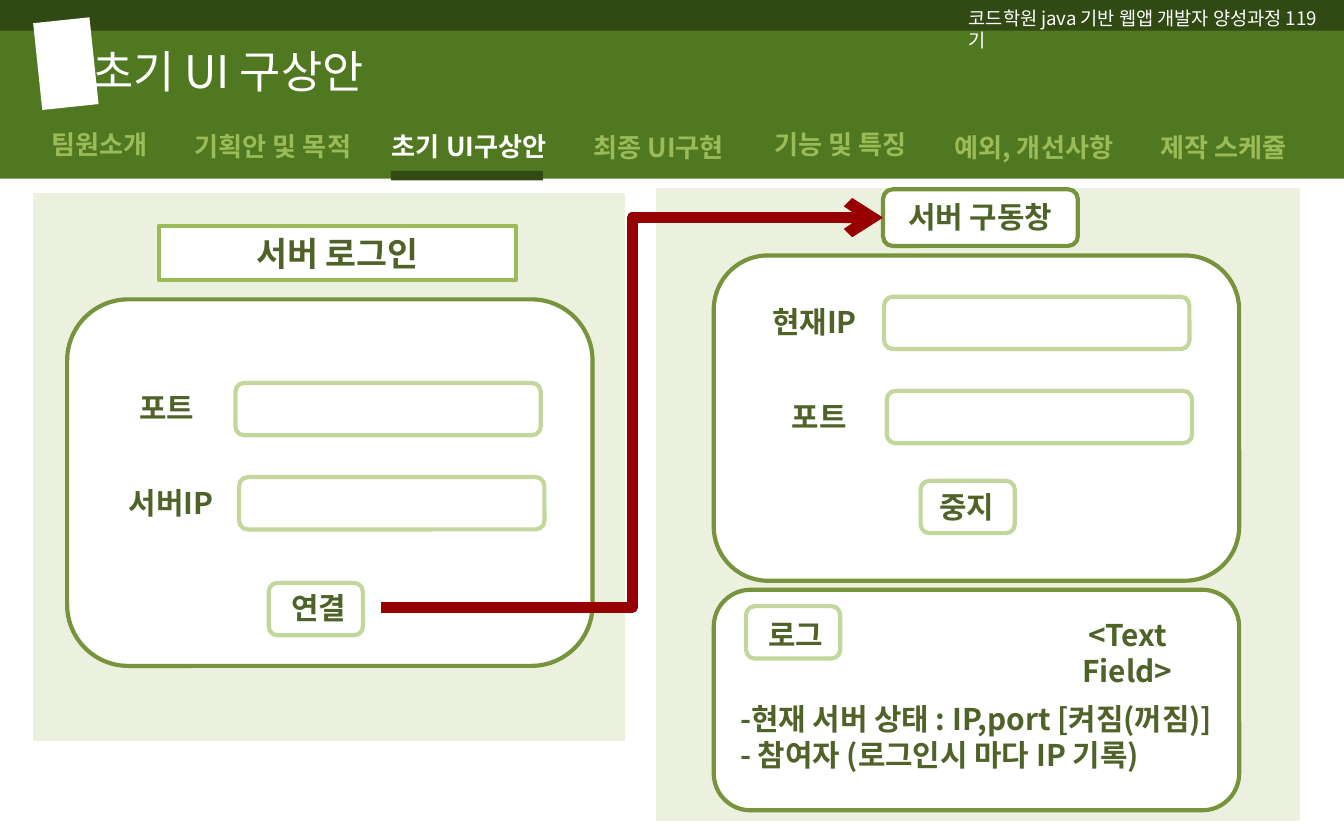
from dataclasses import dataclass
from typing import NamedTuple, Optional

from lxml.etree import SubElement
from pptx import Presentation
from pptx.dml.color import RGBColor
from pptx.enum.shapes import MSO_CONNECTOR, MSO_SHAPE
from pptx.enum.text import MSO_ANCHOR, PP_ALIGN
from pptx.oxml.ns import qn
from pptx.util import Cm, Pt


@dataclass(frozen=True)
class Theme:
    font: str = "Noto Sans CJK KR"
    white: str = "FFFFFF"
    header: str = "507820"
    dark: str = "314913"
    panel: str = "EBF1DE"
    frame: str = "77933C"
    field: str = "C3D69B"
    accent: str = "9BBB59"
    text: str = "4F6228"
    arrow: str = "960000"
    note_size: int = 10
    menu_size: int = 14
    label_size: int = 16
    login_size: int = 18
    title_size: int = 24
    line_spacing: float = 1.2


THEME = Theme()


class Box(NamedTuple):
    left: float
    top: float
    width: float
    height: float


class Label(NamedTuple):
    text: str
    left: float
    top: float
    width: float


class MenuItem(NamedTuple):
    text: str
    left: float
    top: float
    active: bool = False


SERVER_LABELS = [
    Label("현재IP", 14.2, 5.61, 2.39),
    Label("포트", 14.1, 7.42, 2.77),
    Label("중지", 17.07, 9.12, 2.39),
    Label("로그", 13.84, 11.53, 2.39),
    Label("<Text Field>", 19.43, 11.53, 3.76),
    Label("서버 구동창", 16.05, 3.63, 4.95),
]
LOGIN_LABELS = [
    Label("포트", 1.96, 7.24, 2.39),
    Label("서버IP", 1.85, 9.04, 2.77),
    Label("연결", 4.83, 11.02, 2.39),
]
MENU = [
    MenuItem("팀원소개", -0.51, 2.31),
    MenuItem("기획안 및 목적", 2.77, 2.34),
    MenuItem("초기 UI구상안", 6.48, 2.34, True),
    MenuItem("최종 UI구현", 10.06, 2.36),
    MenuItem("기능 및 특징", 13.49, 2.31),
    MenuItem("예외, 개선사항", 17.15, 2.36),
    MenuItem("제작 스케쥴", 20.73, 2.36),
]


def lengths(box: Box) -> list:
    return [Cm(value) for value in box]


def write(shape, text: str, *, size: int = THEME.label_size, color: str = THEME.text,
          bold: bool = True, align=PP_ALIGN.CENTER, anchor=MSO_ANCHOR.TOP) -> None:
    """Fill a shape with text, one paragraph per line."""
    frame = shape.text_frame
    frame.word_wrap = True
    frame.vertical_anchor = anchor
    frame.text = text
    for paragraph in frame.paragraphs:
        paragraph.alignment = align
        paragraph.line_spacing = Pt(size * THEME.line_spacing)
        for run in paragraph.runs:
            run.font.name = THEME.font
            run.font.size = Pt(size)
            run.font.bold = bold
            run.font.color.rgb = RGBColor.from_string(color)
            east_asian = SubElement(run.font._element, qn("a:ea"))
            east_asian.set("typeface", THEME.font)


def add_text(slide, box: Box, text: str, **style):
    shape = slide.shapes.add_textbox(*lengths(box))
    write(shape, text, **style)
    return shape


def add_block(slide, box: Box, *, fill: Optional[str] = None, line: Optional[str] = None,
              weight: float = 2.25, kind=MSO_SHAPE.RECTANGLE):
    shape = slide.shapes.add_shape(kind, *lengths(box))
    shape.shadow.inherit = False
    if fill:
        shape.fill.solid()
        shape.fill.fore_color.rgb = RGBColor.from_string(fill)
    else:
        shape.fill.background()
    if line:
        shape.line.color.rgb = RGBColor.from_string(line)
        shape.line.width = Pt(weight)
    else:
        shape.line.fill.background()
    return shape


def add_panel(slide, box: Box):
    return add_block(slide, box, fill=THEME.panel, line=THEME.panel, weight=1.5)


def add_window(slide, box: Box):
    return add_block(slide, box, fill=THEME.white, line=THEME.frame,
                     kind=MSO_SHAPE.ROUNDED_RECTANGLE)


def add_outline(slide, left: float, top: float, width: float):
    return add_block(slide, Box(left, top, width, 0.99), line=THEME.field,
                     kind=MSO_SHAPE.ROUNDED_RECTANGLE)


def add_field(slide, left: float, top: float):
    return add_outline(slide, left, top, 5.77)


def add_button(slide, left: float, top: float):
    return add_outline(slide, left, top, 1.78)


def add_labels(slide, labels: list[Label]) -> None:
    for label in labels:
        add_text(slide, Box(label.left, label.top, label.width, 0.94), label.text)


def add_server_screen(slide):
    add_panel(slide, Box(12.42, 3.58, 12.12, 11.91))
    add_window(slide, Box(13.49, 4.83, 9.93, 6.15))
    add_window(slide, Box(13.49, 11.15, 9.93, 4.17))
    title_window = add_window(slide, Box(16.69, 3.58, 3.68, 1.07))
    add_field(slide, 16.71, 5.61)
    add_field(slide, 16.76, 7.39)
    add_button(slide, 17.4, 9.09)
    add_button(slide, 14.1, 11.46)
    add_labels(slide, SERVER_LABELS)
    add_text(slide, Box(13.74, 13.13, 10.11, 1.63),
             "-현재 서버 상태 : IP,port [켜짐(꺼짐)]\n- 참여자 (로그인시 마다 IP 기록)",
             align=PP_ALIGN.LEFT)
    return title_window


def add_login_screen(slide) -> None:
    add_panel(slide, Box(0.66, 3.68, 11.13, 10.31))
    add_window(slide, Box(1.27, 5.66, 9.93, 6.93))
    login = add_block(slide, Box(3, 4.27, 6.76, 1.02), fill=THEME.white,
                      line=THEME.accent, weight=2)
    write(login, "서버 로그인", size=THEME.login_size, anchor=MSO_ANCHOR.MIDDLE)
    add_field(slide, 4.45, 7.24)
    add_field(slide, 4.52, 9.02)
    add_button(slide, 5.08, 11.02)
    add_labels(slide, LOGIN_LABELS)


def add_flow_arrow(slide, target) -> None:
    connector = slide.shapes.add_connector(
        MSO_CONNECTOR.ELBOW, Cm(7.21), Cm(11.48), Cm(16.69), Cm(4.11))
    connector.end_connect(target, 1)
    connector.line.color.rgb = RGBColor.from_string(THEME.arrow)
    connector.line.width = Pt(6)
    SubElement(connector.line._get_or_add_ln(), qn("a:tailEnd")).set("type", "arrow")
    SubElement(connector._element.spPr, qn("a:effectLst"))


def add_header(slide) -> None:
    add_block(slide, Box(0, 0, 25.4, 3.38), fill=THEME.header)
    add_block(slide, Box(0, 0, 25.4, 0.58), fill=THEME.dark)
    add_text(slide, Box(18.06, 0, 7.37, 0.69), "코드학원 java 기반 웹앱 개발자 양성과정 119기",
             size=THEME.note_size, color=THEME.white, bold=False, align=PP_ALIGN.LEFT)
    add_text(slide, Box(1.49, 0.71, 12.7, 1.27), "초기 UI 구상안",
             size=THEME.title_size, color=THEME.white, bold=False, align=PP_ALIGN.LEFT)
    add_block(slide, Box(7.39, 3.23, 2.87, 0.18), fill=THEME.dark)
    for item in MENU:
        add_text(slide, Box(item.left, item.top, 4.78, 0.86), item.text,
                 size=THEME.menu_size, color=THEME.white if item.active else THEME.accent)
    tag = add_block(slide, Box(0.71, 0.38, 1.07, 1.65), fill=THEME.white)
    tag.rotation = 354


def main() -> None:
    presentation = Presentation()
    presentation.slide_width, presentation.slide_height = Cm(25.4), Cm(15.88)
    slide = presentation.slides.add_slide(presentation.slide_layouts[6])

    # Screens and the step that leads from one to the other
    server_title = add_server_screen(slide)
    add_login_screen(slide)
    add_flow_arrow(slide, server_title)
    # Title bar and menu
    add_header(slide)

    presentation.save("out.pptx")


if __name__ == "__main__":
    main()
